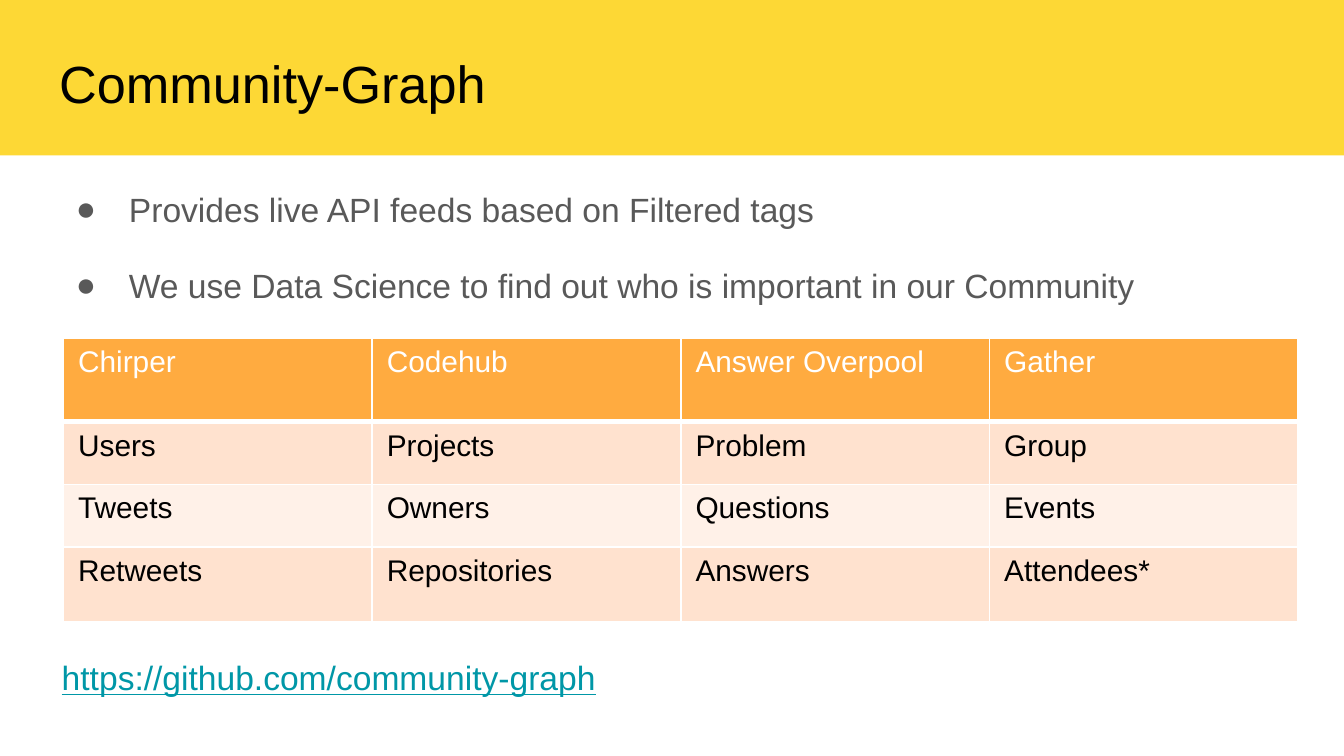
from lxml import etree
from pptx import Presentation
from pptx.dml.color import RGBColor
from pptx.enum.shapes import MSO_SHAPE
from pptx.enum.text import MSO_ANCHOR
from pptx.oxml.ns import qn
from pptx.util import Pt

RECT = MSO_SHAPE.RECTANGLE
TOP = MSO_ANCHOR.TOP

YELLOW = RGBColor(0xFD, 0xD8, 0x35)
ORANGE = RGBColor(0xFF, 0xAB, 0x40)
PEACH = RGBColor(0xFF, 0xE2, 0xCF)
CREAM = RGBColor(0xFF, 0xF1, 0xE8)
GRAY = RGBColor(0x59, 0x59, 0x59)
TEAL = RGBColor(0x00, 0x97, 0xA7)
BLACK = RGBColor(0, 0, 0)
WHITE = RGBColor(0xFF, 0xFF, 0xFF)
FONT = "Arial"

TITLE = "Community-Graph"
BULLETS = [
    "Provides live API feeds based on Filtered tags",
    "We use Data Science to find out who is important in our Community",
]
SOURCES = [
    ["Chirper", "Codehub", "Answer Overpool", "Gather"],
    ["Users", "Projects", "Problem", "Group"],
    ["Tweets", "Owners", "Questions", "Events"],
    ["Retweets", "Repositories", "Answers", "Attendees*"],
]
LINK = "https://github.com/community-graph"

SLIDE_W, SLIDE_H = 720, 405
ROW_HEIGHTS = [45, 33.5, 33.5, 40.4]
COL_W = 165.4


def add_run(p, text, size, color):
    r = p.add_run()
    r.text = text
    r.font.name = FONT
    r.font.size = Pt(size)
    r.font.color.rgb = color
    return r


def set_frame(tf, inset_x, inset_y, wrap=True):
    tf.word_wrap = wrap
    tf.vertical_anchor = TOP
    tf.margin_left = tf.margin_right = Pt(inset_x)
    tf.margin_top = tf.margin_bottom = Pt(inset_y)


def add_bullet(p, color):
    pPr = p._p.get_or_add_pPr()
    pPr.set("marL", str(Pt(37.5)))
    pPr.set("indent", str(Pt(-28.5)))
    clr = etree.SubElement(pPr, qn("a:buClr"))
    etree.SubElement(clr, qn("a:srgbClr"), val=str(color))
    etree.SubElement(pPr, qn("a:buFont"), typeface=FONT)
    etree.SubElement(pPr, qn("a:buChar"), char="●")


def set_borders(cell, color, bottom):
    tcPr = cell._tc.get_or_add_tcPr()
    for i, (tag, width) in enumerate(
            [("a:lnL", 1), ("a:lnR", 1), ("a:lnT", 1), ("a:lnB", bottom)]):
        ln = etree.Element(qn(tag), w=str(Pt(width)))
        fill = etree.SubElement(ln, qn("a:solidFill"))
        etree.SubElement(fill, qn("a:srgbClr"), val=str(color))
        tcPr.insert(i, ln)


prs = Presentation()
prs.slide_width, prs.slide_height = Pt(SLIDE_W), Pt(SLIDE_H)
s = prs.slides.add_slide(prs.slide_layouts[5])

# Title on its band
band = s.shapes.add_shape(RECT, 0, 0, Pt(SLIDE_W), Pt(83.3))
band.shadow.inherit = False
band.fill.solid()
band.fill.fore_color.rgb = YELLOW
band.line.fill.background()
s.shapes._spTree.insert(2, band._element)

title = s.shapes.title
title.left, title.top, title.width, title.height = Pt(24.5), Pt(20), Pt(671), Pt(45)
set_frame(title.text_frame, 7.2, 7.2)
p = title.text_frame.paragraphs[0]
p.alignment = 1
add_run(p, TITLE, 28, BLACK)

# Bullets
body = s.shapes.add_textbox(Pt(24.5), Pt(90.7), Pt(671), Pt(269))
tf = body.text_frame
set_frame(tf, 7.2, 7.2)
for i, text in enumerate(BULLETS):
    p = tf.add_paragraph() if i else tf.paragraphs[0]
    add_bullet(p, GRAY)
    p.line_spacing = 1.15
    p.space_after = Pt(16)
    add_run(p, text, 18, GRAY)

# Table of sources
n_rows, n_cols = len(SOURCES), len(SOURCES[0])
table = s.shapes.add_table(n_rows, n_cols, Pt(34), Pt(181), Pt(COL_W * n_cols),
                           Pt(sum(ROW_HEIGHTS))).table
for col in table.columns:
    col.width = Pt(COL_W)
for i, (row, height) in enumerate(zip(SOURCES, ROW_HEIGHTS)):
    table.rows[i].height = Pt(height)
    header = i == 0
    fill = ORANGE if header else PEACH if i % 2 else CREAM
    for j, text in enumerate(row):
        cell = table.cell(i, j)
        cell.margin_left = cell.margin_right = Pt(7.9)
        cell.margin_top = cell.margin_bottom = Pt(4)
        cell.fill.solid()
        cell.fill.fore_color.rgb = fill
        set_borders(cell, WHITE, 3 if header else 1)
        r = add_run(cell.text_frame.paragraphs[0], text, 16, WHITE if header else BLACK)
        r.font.bold = False

# Link line
link = s.shapes.add_textbox(Pt(26), Pt(348.5), Pt(303), Pt(29))
set_frame(link.text_frame, 7.2, 3.6, wrap=False)
r = add_run(link.text_frame.paragraphs[0], LINK, 18, TEAL)
r.font.underline = True

prs.save("out.pptx")
